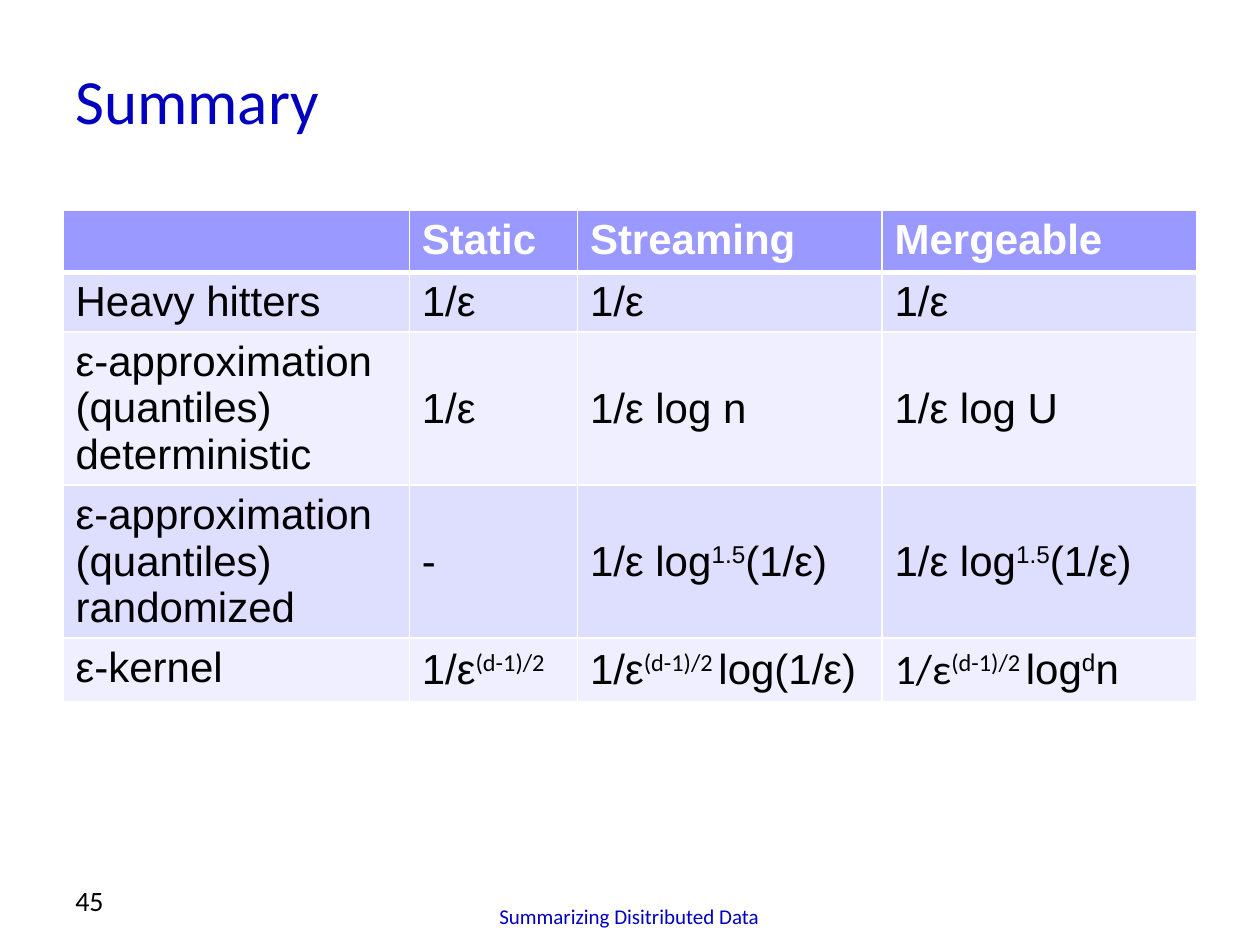
from dataclasses import dataclass

from lxml.etree import SubElement
from pptx import Presentation
from pptx.dml.color import RGBColor
from pptx.enum.text import MSO_ANCHOR, PP_ALIGN
from pptx.oxml.ns import qn
from pptx.util import Cm, Pt

WHITE, BLACK, NAVY = "FFFFFF", "000000", "0000BE"
HEADER_FILL, BAND_FILLS = "9999FF", ("DEDEFF", "EFEFFF")
SIDES = ("lnL", "lnR", "lnT", "lnB")


@dataclass(frozen=True)
class Piece:
    text: str
    typeface: str = "Arial"
    raised: bool = False


@dataclass(frozen=True)
class Label:
    text: str
    left: float
    top: float
    width: float
    height: float
    size: int
    color: str
    anchor: MSO_ANCHOR
    align: PP_ALIGN = PP_ALIGN.LEFT


def rgb(value: str) -> RGBColor:
    return RGBColor.from_string(value)


def write_run(paragraph, piece: Piece, size: int, color: str, bold: bool = False) -> None:
    run = paragraph.add_run()
    run.text = piece.text
    for attribute, value in {"name": piece.typeface, "size": Pt(size), "bold": bold}.items():
        setattr(run.font, attribute, value)
    run.font.color.rgb = rgb(color)
    if piece.raised:
        run.font._element.set("baseline", "30000")


def draw_label(slide, label: Label) -> None:
    box = slide.shapes.add_textbox(
        Cm(label.left), Cm(label.top), Cm(label.width), Cm(label.height)
    )
    frame = box.text_frame
    for attribute, value in {"word_wrap": True, "vertical_anchor": label.anchor}.items():
        setattr(frame, attribute, value)
    paragraph = frame.paragraphs[0]
    paragraph.alignment = label.align
    write_run(paragraph, Piece(label.text, "Calibri"), label.size, label.color)


def draw_borders(cell, bottom_width: int) -> None:
    properties = cell._tc.get_or_add_tcPr()
    for position, side in enumerate(SIDES):
        width = bottom_width if side == "lnB" else 1
        line = properties.makeelement(qn(f"a:{side}"), {"w": str(Pt(width))})
        fill = SubElement(line, qn("a:solidFill"))
        SubElement(fill, qn("a:srgbClr"), val=WHITE)
        properties.insert(position, line)


def fill_cell(cell, lines: list[list[Piece]], row: int, column: int) -> None:
    is_header = row == 0
    cell.fill.solid()
    cell.fill.fore_color.rgb = rgb(HEADER_FILL if is_header else BAND_FILLS[(row - 1) % 2])
    draw_borders(cell, 3 if is_header else 1)
    cell.vertical_anchor = MSO_ANCHOR.MIDDLE if row > 1 and column > 0 else MSO_ANCHOR.TOP
    frame = cell.text_frame
    for index, pieces in enumerate(lines):
        paragraph = frame.add_paragraph() if index else frame.paragraphs[0]
        for piece in pieces:
            write_run(paragraph, piece, 24, WHITE if is_header else BLACK, is_header)


def plain(*texts: str) -> list[list[Piece]]:
    return [[Piece(text)] for text in texts]


def draw_bounds(slide, rows: list, widths: list[float], heights: list[float]) -> None:
    table = slide.shapes.add_table(
        len(rows), len(widths), Cm(1.27), Cm(4.24), Cm(sum(widths)), Cm(sum(heights))
    ).table
    for attribute in ("first_row", "horz_banding"):
        setattr(table, attribute, False)
    for column, width in zip(table.columns, widths):
        column.width = Cm(width)
    for table_row, height in zip(table.rows, heights):
        table_row.height = Cm(height)
    for row, contents in enumerate(rows):
        for column, lines in enumerate(contents):
            fill_cell(table.cell(row, column), lines, row, column)


def main() -> None:
    inverse = plain("1/ε")
    log_power = [[Piece("1/ε log"), Piece("1.5", raised=True), Piece("(1/ε)")]]
    exponent = Piece("(d-1)/2", "Calibri", True)
    spaced_exponent = Piece("(d-1)/2 ", "Calibri", True)
    kernel_streaming = [[Piece("1/ε"), spaced_exponent, Piece("log(1/ε)")]]
    kernel_mergeable = [[
        Piece("1/ε", "Calibri"), spaced_exponent,
        Piece("log"), Piece("d", raised=True), Piece("n"),
    ]]
    quantiles = ("ε-approximation", "(quantiles)")
    bounds = [
        [[], plain("Static"), plain("Streaming"), plain("Mergeable")],
        [plain("Heavy hitters"), inverse, inverse, inverse],
        [plain(*quantiles, "deterministic"), inverse, plain("1/ε log n"), plain("1/ε log U")],
        [plain(*quantiles, "randomized"), plain("-"), log_power, log_power],
        [plain("ε-kernel"), [[Piece("1/ε"), exponent]], kernel_streaming, kernel_mergeable],
    ]
    labels = [
        Label("Summary", 1.27, 0.84, 24.13, 2.34, 36, NAVY, MSO_ANCHOR.MIDDLE),
        Label("Summarizing Disitributed Data", 6.55, 17.58, 12.27, 1.27, 12, NAVY,
              MSO_ANCHOR.BOTTOM, PP_ALIGN.CENTER),
        Label("45", 1.27, 17.35, 5.92, 1.27, 16, BLACK, MSO_ANCHOR.BOTTOM),
    ]

    presentation = Presentation()
    presentation.slide_width, presentation.slide_height = Cm(25.4), Cm(19.05)
    slide = presentation.slides.add_slide(presentation.slide_layouts[6])
    draw_bounds(slide, bounds, [6.98, 3.39, 6.14, 6.35], [1.25, 1.2, 3.08, 3.08, 1.29])
    for label in labels:
        draw_label(slide, label)
    presentation.save("out.pptx")


if __name__ == "__main__":
    main()
